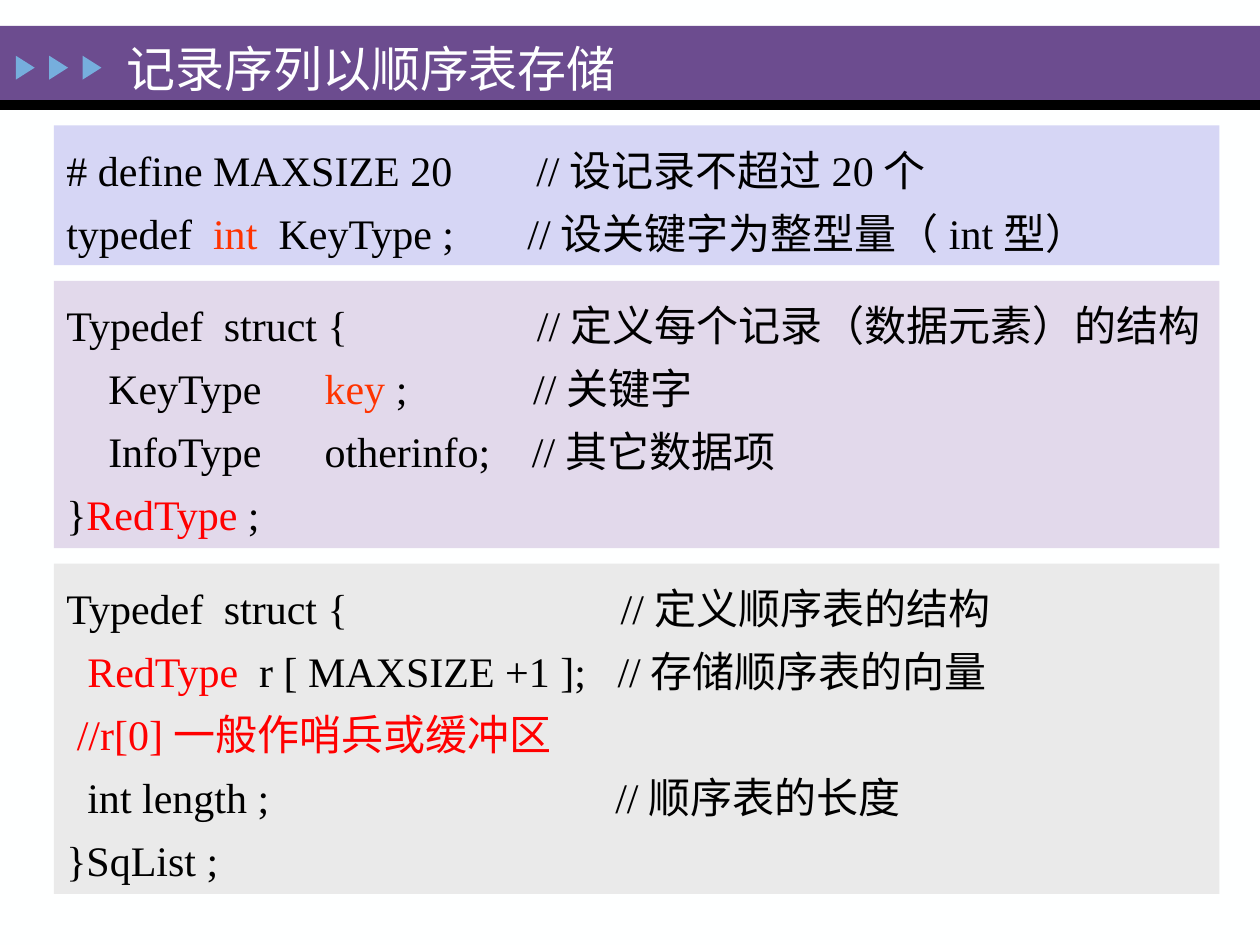
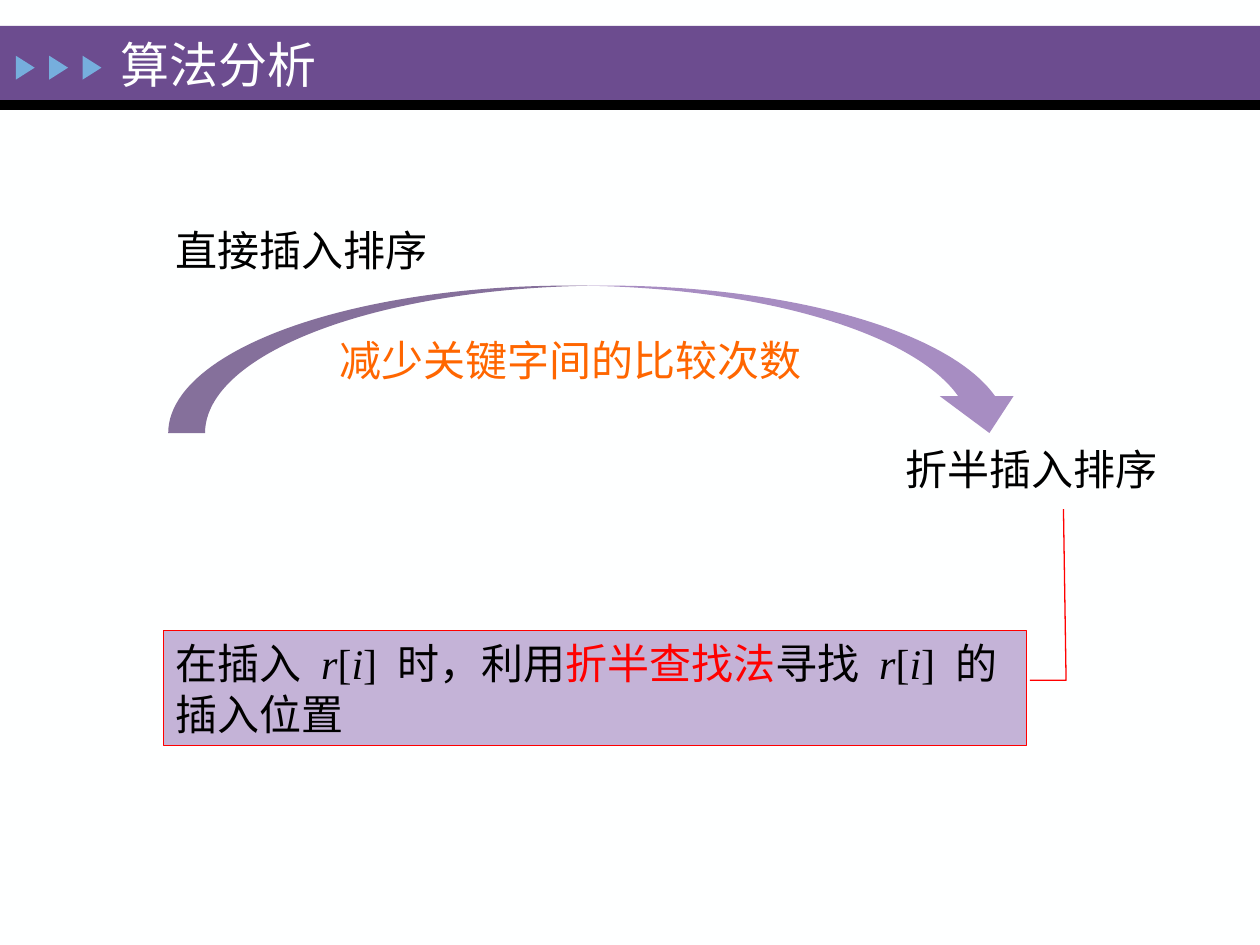
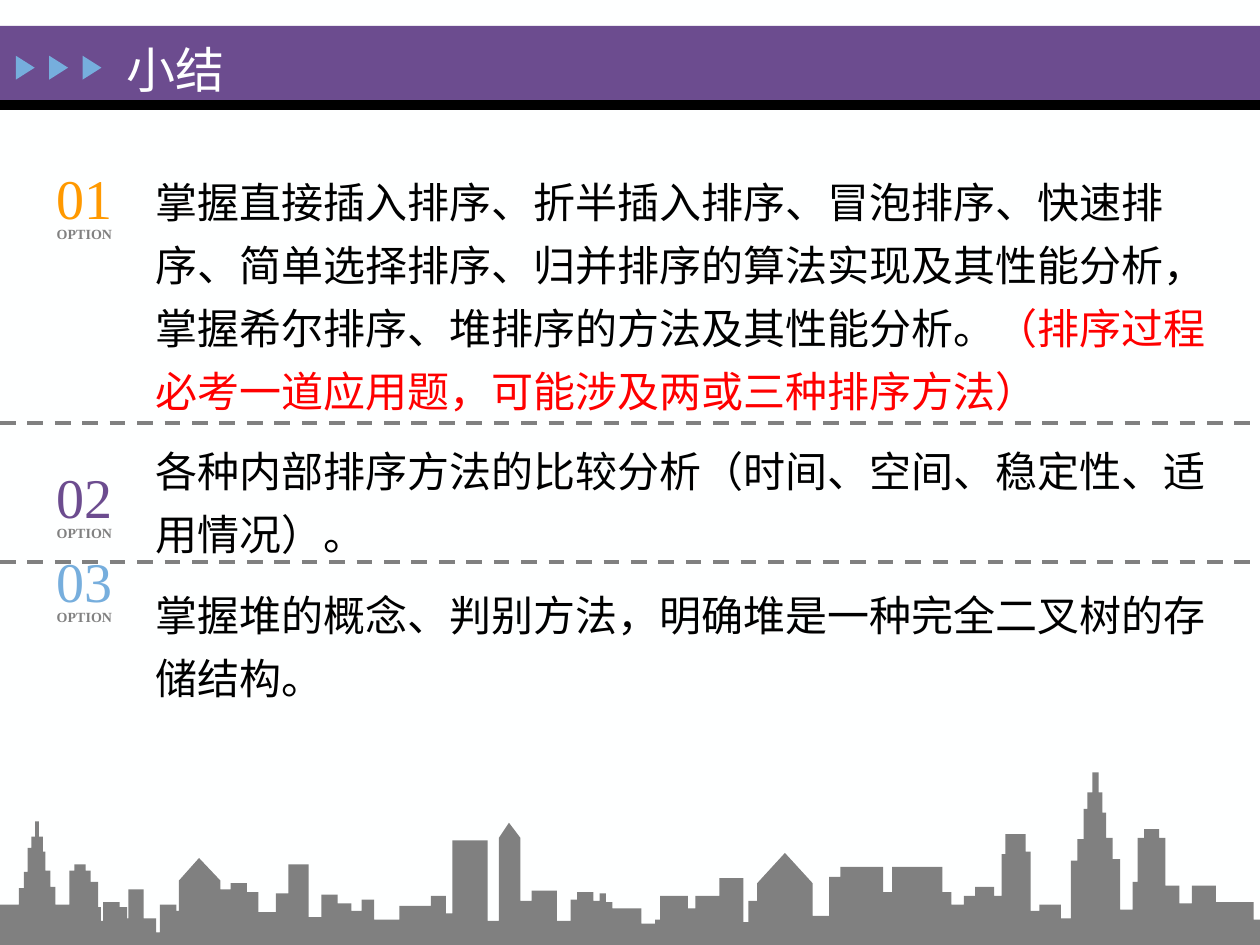
from dataclasses import dataclass
from typing import NamedTuple

from lxml.etree import SubElement
from pptx import Presentation
from pptx.dml.color import RGBColor
from pptx.enum.dml import MSO_LINE
from pptx.enum.shapes import MSO_CONNECTOR, MSO_SHAPE as Preset
from pptx.enum.text import MSO_ANCHOR as Anchor, PP_ALIGN as Align
from pptx.oxml.ns import qn
from pptx.util import Inches, Pt

WIDTH, HEIGHT = Inches(10), Inches(7.5)
COLUMNS, ROWS = 100, 75
COLUMN, ROW = WIDTH / COLUMNS, HEIGHT / ROWS


@dataclass(frozen=True)
class Theme:
    """Colours, type sizes and font shared by the slides."""
    font: str = "Times New Roman"
    paper: str = "FEFFFF"
    ink: str = "000000"
    band: str = "6C4C8F"
    marker: str = "76AEDD"
    red: str = "FF0000"
    vermilion: str = "FF3300"
    orange: str = "FF6600"
    amber: str = "FF9900"
    arrow: str = "A78DC2"
    callout: str = "C4B3D7"
    constants: str = "D6D6F5"
    record: str = "E2D9EB"
    table: str = "EAEAEA"
    grey: str = "808080"
    label: str = "818181"
    title_size: int = 28
    body_size: int = 24
    number_size: int = 32
    label_size: int = 8
    spacing: float = 1.25


THEME = Theme()


class Box(NamedTuple):
    """A place on the grid, in columns and rows."""
    left: float
    top: float
    width: float
    height: float

    def emu(self):
        """Return the left, top, width and height in EMU."""
        return (round(self.left * COLUMN), round(self.top * ROW),
                round(self.width * COLUMN), round(self.height * ROW))

    def inner(self, left, top, width, height):
        """Return a box placed from this box's corner."""
        return Box(self.left + left, self.top + top, width, height)


class Span(NamedTuple):
    """A stretch of text in one style."""
    text: str
    color: str = THEME.ink
    italic: bool = False


class Line(NamedTuple):
    """A line of code with its tab stops in columns."""
    tabs: tuple
    spans: tuple


PAGE = Box(0, 0, COLUMNS, ROWS)
KEY_INDEX = (Span("r", italic=True), Span("["), Span("i", italic=True))

CONSTANTS = (
    Line((37.3,), (Span("# define MAXSIZE 20\t//设记录不超过20个"),)),
    Line((11.65, 16.85, 36.6), (
        Span("typedef\t"), Span("int\t", THEME.vermilion),
        Span("KeyType ;\t//设关键字为整型量（int型）"))),
)
RECORD = (
    Line((12.5, 37.35), (Span("Typedef\tstruct {\t//定义每个记录（数据元素）的结构"),)),
    Line((3.33, 20.5, 37.05), (
        Span("\tKeyType\t"), Span("key ", THEME.vermilion), Span(";\t//关键字"))),
    Line((3.33, 20.5, 36.95), (Span("\tInfoType\totherinfo;\t//其它数据项"),)),
    Line((), (Span("}"), Span("RedType", THEME.red), Span(" ;"))),
)
TABLE = (
    Line((12.5, 44), (Span("Typedef\tstruct {\t//定义顺序表的结构"),)),
    Line((1.67, 15.3, 43.75), (
        Span("\t"), Span("RedType", THEME.red),
        Span("\tr [ MAXSIZE +1 ];\t//存储顺序表的向量"))),
    Line((0.83,), (Span("\t//r[0]一般作哨兵或缓冲区", THEME.red),)),
    Line((1.67, 43.57), (Span("\tint length ;\t//顺序表的长度"),)),
    Line((), (Span("}SqList ;"),)),
)
GOALS = (
    (Span("掌握直接插入排序、折半插入排序、冒泡排序、快速排序、简单选择排序、归并排序的算法"
          "实现及其性能分析，掌握希尔排序、堆排序的方法及其性能分析。"),
     Span("（排序过程必考一道应用题，可能涉及两或三种排序方法）", THEME.red)),
    (Span("各种内部排序方法的比较分析（时间、空间、稳定性、适用情况）。"),),
    (Span("掌握堆的概念、判别方法，明确堆是一种完全二叉树的存储结构。"),),
)
ROOFS = (
    (0, 32), (15, 45), (19, 58), (22, 77), (25, 86), (28, 98), (31, 86),
    (34, 74), (36, 59), (40, 46), (44, 32), (55, 59), (59, 64), (68, 59),
    (72, 50), (78, 30), (80, 19), (82, 34), (95, 30), (101, 21), (102, 44),
    (114, 21), (124, 10), (127, 32), (140, 27), (142, 51, 158, 69), (175, 44),
    (183, 49), (196, 42), (205, 26), (219, 41), (229, 64), (245, 22),
    (255, 40), (268, 33), (279, 27), (287, 36), (297, 20), (317, 31),
    (342, 39), (354, 25), (359, 83), (387, 19), (396, 85, 404, 97), (413, 35),
    (422, 43), (442, 19), (453, 36), (458, 42), (471, 35), (476, 41),
    (481, 34), (486, 29), (509, 17), (520, 20), (524, 39), (546, 29),
    (552, 39), (571, 53), (590, 18), (594, 35), (601, 49, 623, 73), (645, 23),
    (658, 54), (667, 62), (701, 42), (708, 62), (748, 42), (755, 32),
    (765, 39), (774, 46), (789, 39), (795, 72), (798, 88), (814, 74),
    (818, 27), (825, 32), (842, 21), (850, 67), (855, 84), (860, 108),
    (863, 121), (867, 137), (872, 121), (875, 105), (878, 85), (883, 68),
    (889, 28), (899, 50), (903, 85), (908, 92), (920, 85), (925, 47),
    (936, 33), (946, 47), (965, 34), (995, 20),
)
SKYLINE_WIDTH, SKYLINE_HEIGHT = 1000, 137


def rgb(color):
    """Return a colour object for a hex string."""
    return RGBColor.from_string(color)


def paint(shape, fill):
    """Give a shape a plain fill with no line or shadow."""
    shape.shadow.inherit = False
    shape.fill.solid()
    shape.fill.fore_color.rgb = rgb(fill)
    shape.line.fill.background()
    return shape


def add_block(slide, preset, box, fill):
    """Add a plain filled preset shape."""
    return paint(slide.shapes.add_shape(preset, *box.emu()), fill)


def write(paragraph, spans, size=THEME.body_size, bold=False, spacing=None):
    """Fill a paragraph with styled spans and no hanging punctuation."""
    paragraph.alignment = Align.LEFT
    paragraph._p.get_or_add_pPr().set("hangingPunct", "0")
    if spacing:
        paragraph.line_spacing = spacing
    for span in spans:
        run = paragraph.add_run()
        run.text = span.text
        run.font.name = THEME.font
        run.font.size = Pt(size)
        run.font.bold = bold
        run.font.italic = span.italic
        run.font.color.rgb = rgb(span.color)


def set_tabs(paragraph, columns):
    """Set left tab stops at the given columns."""
    if columns:
        stops = SubElement(paragraph._p.get_or_add_pPr(), qn("a:tabLst"))
        for column in columns:
            SubElement(stops, qn("a:tab"), pos=str(round(column * COLUMN)), algn="l")


def prepare(shape, anchor):
    """Wrap a shape's text, anchor it and return its frame."""
    frame = shape.text_frame
    frame.word_wrap = True
    frame.vertical_anchor = anchor
    return frame


def add_text(slide, box, span, anchor=Anchor.TOP, inset=True, **style):
    """Add a one-paragraph text box."""
    frame = prepare(slide.shapes.add_textbox(*box.emu()), anchor)
    if not inset:
        frame.margin_left = frame.margin_right = 0
        frame.margin_top = frame.margin_bottom = 0
    write(frame.paragraphs[0], (span,), **style)


def add_header(slide, box, title, left, top):
    """Draw the title band with its markers and title."""
    add_block(slide, Preset.RECTANGLE, box.inner(0, 2.06, box.width, 5.9), THEME.band)
    add_block(slide, Preset.RECTANGLE, box.inner(0, 7.95, box.width, 0.78), THEME.ink)
    for index in range(3):
        marker = add_block(slide, Preset.ISOSCELES_TRIANGLE,
                           box.inner(1.05 + 2.65 * index, 4.62, 1.9, 1.5), THEME.marker)
        marker.rotation = 90
    add_text(slide, box.inner(left, top, 50, 5.7), Span(title, THEME.paper),
             size=THEME.title_size)


def new_slide(deck, title, left=9.06, top=2.55):
    """Add a blank slide with the shared background and header."""
    slide = deck.slides.add_slide(deck.slide_layouts[6])
    slide.background.fill.solid()
    slide.background.fill.fore_color.rgb = rgb(THEME.paper)
    add_header(slide, PAGE, title, left, top)
    return slide


def add_code(slide, box, fill, lines):
    """Draw a coloured panel of code lines."""
    frame = prepare(add_block(slide, Preset.RECTANGLE, box, fill), Anchor.TOP)
    for index, line in enumerate(lines):
        paragraph = frame.add_paragraph() if index else frame.paragraphs[0]
        write(paragraph, line.spans, spacing=THEME.spacing)
        set_tabs(paragraph, line.tabs)


def add_improvement(slide, box):
    """Draw the arrow from direct to binary insertion sort."""
    add_text(slide, box.inner(0, 0, 22.4, 5.6), Span("直接插入排序"), Anchor.MIDDLE)
    arrow = add_block(slide, Preset.CURVED_DOWN_ARROW,
                      box.inner(0.37, 5.67, 68.1, 11.7), THEME.arrow)
    frame = prepare(arrow, Anchor.MIDDLE)
    frame.margin_left = round(13.6 * COLUMN)
    write(frame.paragraphs[0], (Span("减少关键字间的比较次数", THEME.orange),))
    add_text(slide, box.inner(57.9, 17.4, 22.4, 5.6), Span("折半插入排序"), Anchor.MIDDLE)


def add_explanation(slide, box):
    """Draw the callout explaining binary insertion."""
    callout = add_block(slide, Preset.LINE_CALLOUT_2, box, THEME.callout)
    for index, percent in enumerate((43.2, 100.4, 43.2, 104.6, -106.2, 104.3)):
        callout.adjustments[index] = percent / 100
    callout.line.color.rgb = rgb(THEME.red)
    callout.line.width = Pt(0.75)
    frame = prepare(callout, Anchor.MIDDLE)
    write(frame.paragraphs[0], (
        Span("在插入 "), *KEY_INDEX, Span("] 时，利用"), Span("折半查找法", THEME.red),
        Span("寻找 "), *KEY_INDEX, Span("] 的插入位置")))


def add_option(slide, box, number, color):
    """Draw a numbered option mark."""
    add_text(slide, box.inner(0, 0, box.width, 5.4), Span(number, color),
             Anchor.MIDDLE, inset=False, size=THEME.number_size)
    add_text(slide, box.inner(0, 4.93, box.width, 1.4), Span("OPTION", THEME.label),
             inset=False, size=THEME.label_size, bold=True)


def add_skyline(slide, box):
    """Draw the city outline along the bottom of the box."""
    outline, height = [], 0
    for left, roof, *ridge in ROOFS:
        outline += [(left, height), (left, roof)]
        if ridge:
            outline.append(tuple(ridge))
        height = roof
    outline += [(SKYLINE_WIDTH, height), (SKYLINE_WIDTH, 0)]
    points = [(x, SKYLINE_HEIGHT - y) for x, y in outline]
    left, top, width, _ = box.emu()
    builder = slide.shapes.build_freeform(*points[0], scale=width / SKYLINE_WIDTH)
    builder.add_line_segments(points[1:], close=True)
    paint(builder.convert_to_shape(left, top), THEME.grey)


def add_goals(slide, box):
    """Write the learning goals."""
    frame = prepare(slide.shapes.add_textbox(*box.emu()), Anchor.TOP)
    for index, spans in enumerate(GOALS):
        paragraph = frame.add_paragraph() if index else frame.paragraphs[0]
        write(paragraph, spans, spacing=THEME.spacing)
        paragraph.space_before = Pt(10)


def add_divider(slide, box):
    """Draw a dashed line along the top of the box."""
    left, top, width, _ = box.emu()
    divider = slide.shapes.add_connector(MSO_CONNECTOR.STRAIGHT, left, top,
                                         left + width, top)
    divider.line.color.rgb = rgb(THEME.grey)
    divider.line.width = Pt(2.25)
    divider.line.dash_style = MSO_LINE.DASH
    SubElement(divider._element.spPr, qn("a:effectLst"))


def build_storage(deck):
    """Build the slide on sequential storage of records."""
    slide = new_slide(deck, "记录序列以顺序表存储")
    for top, height, fill, lines in (
            (9.95, 11.1, THEME.constants, CONSTANTS),
            (22.3, 21.2, THEME.record, RECORD),
            (44.74, 26.2, THEME.table, TABLE)):
        add_code(slide, PAGE.inner(4.28, top, 92.5, height), fill, lines)


def build_analysis(deck):
    """Build the slide on the analysis of the algorithm."""
    slide = new_slide(deck, "算法分析", 8.6, 2.27)
    add_improvement(slide, PAGE.inner(12.98, 17, 80.3, 23))
    add_explanation(slide, PAGE.inner(12.96, 50.06, 68.5, 9.1))


def build_summary(deck):
    """Build the summary slide."""
    slide = new_slide(deck, "小结", top=2.65)
    for top, number, color in ((12.95, "01", THEME.amber), (36.7, "02", THEME.band),
                               (43.33, "03", THEME.marker)):
        add_option(slide, PAGE.inner(4.5, top, 4.9, 6.3), number, color)
    add_skyline(slide, PAGE.inner(0, 61.3, COLUMNS, 13.7))
    add_goals(slide, PAGE.inner(11.35, 12.5, 86.3, 54.1))
    for top in (33.6, 44.6):
        add_divider(slide, PAGE.inner(0, top, COLUMNS, 0))


def main():
    """Build the deck and save it."""
    deck = Presentation()
    deck.slide_width, deck.slide_height = WIDTH, HEIGHT
    for build in (build_storage, build_analysis, build_summary):
        build(deck)
    deck.save("out.pptx")


if __name__ == "__main__":
    main()
